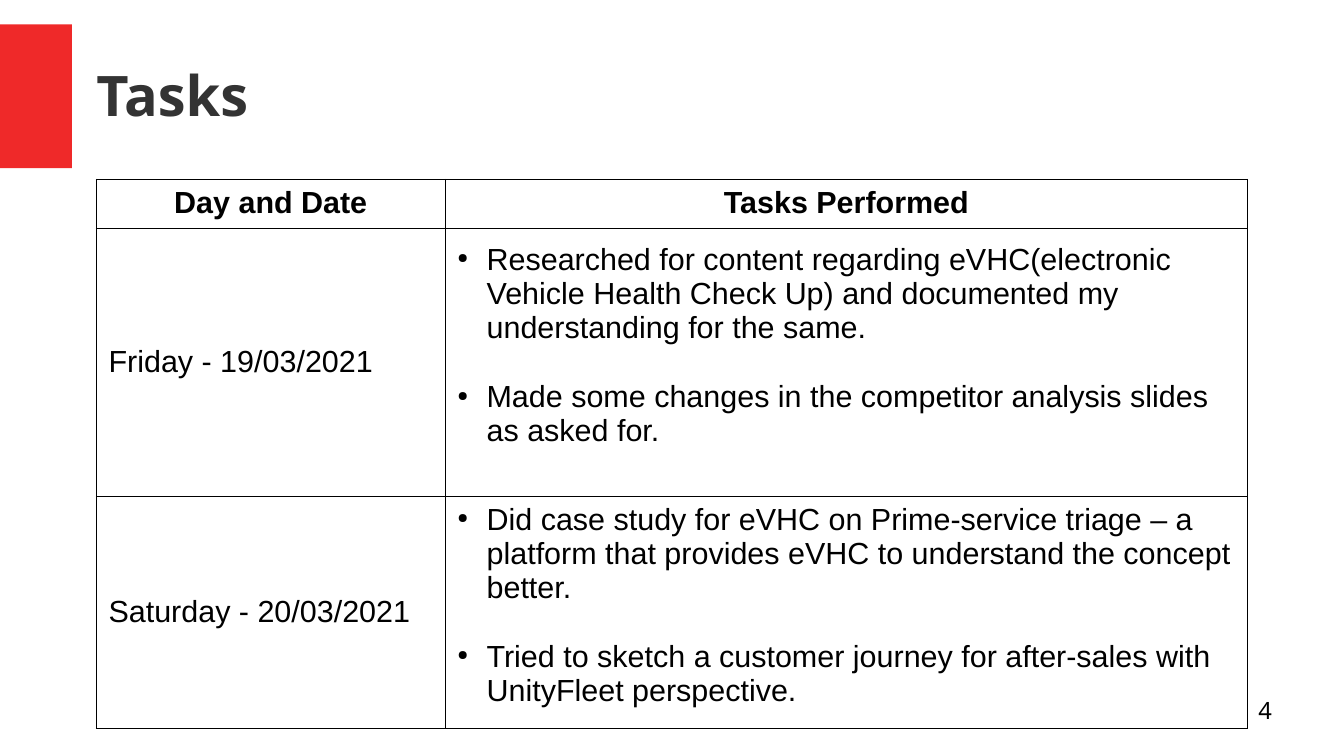
from lxml import etree
from pptx import Presentation
from pptx import util as u
from pptx.dml.color import RGBColor
from pptx.enum import shapes, text
from pptx.oxml.ns import qn

# Content
TITLE = "Tasks"
PAGE_NUMBER = "4"
HEADERS = ["Day and Date", "Tasks Performed"]
DAYS = [
    ("Friday - 19/03/2021", [
        "Researched for content regarding eVHC(electronic Vehicle Health Check Up) "
        "and documented my understanding for the same.",
        "Made some changes in the competitor analysis slides as asked for.",
    ]),
    ("Saturday - 20/03/2021", [
        "Did case study for eVHC on Prime-service triage – a platform that provides "
        "eVHC to understand the concept better.",
        "Tried to sketch a customer journey for after-sales with UnityFleet perspective.",
    ]),
]

# Layout in inches, type in points
WIDTH, HEIGHT = 11.02, 6.2
LEFT, TABLE_TOP = 0.79, 1.47
COLUMNS = [2.86, 6.58]
ROWS = [0.4, 2.2, 1.9]
TASK_TOP_MARGINS = [0.12, 0.05]
INDENT = 0.24
TASK_GAP = 20.5
COLORS = {"accent": "EF2929", "title": "333333", "text": "000000", "paper": "FFFFFF"}


def color(name):
    return RGBColor.from_string(COLORS[name])


def write(paragraph, words, size, font, ink="text", bold=False, align=text.PP_ALIGN.LEFT):
    paragraph.text = words
    paragraph.alignment = align
    paragraph.font.size = u.Pt(size)
    paragraph.font.name = font
    paragraph.font.bold = bold
    paragraph.font.color.rgb = color(ink)


def add_text(slide, box, anchor, *args, **kwargs):
    frame = slide.shapes.add_textbox(*map(u.Inches, box)).text_frame
    frame.word_wrap = True
    frame.vertical_anchor = anchor
    frame.margin_left = frame.margin_right = frame.margin_top = frame.margin_bottom = 0
    write(frame.paragraphs[0], *args, **kwargs)


def add_bullet(paragraph):
    properties = paragraph._p.get_or_add_pPr()
    properties.set("marL", str(u.Inches(INDENT)))
    properties.set("indent", str(-u.Inches(INDENT)))
    bullet_color = etree.SubElement(properties, qn("a:buClr"))
    etree.SubElement(bullet_color, qn("a:srgbClr"), val=COLORS["text"])
    etree.SubElement(properties, qn("a:buSzPct"), val="45000")
    etree.SubElement(properties, qn("a:buChar"), char="●")
    # Bullet settings must come before the default run properties
    defaults = properties.find(qn("a:defRPr"))
    if defaults is not None:
        properties.append(defaults)


def style_cell(cell):
    cell.fill.solid()
    cell.fill.fore_color.rgb = color("paper")
    cell.margin_left = cell.margin_right = u.Inches(0.1)
    cell.margin_top = cell.margin_bottom = u.Inches(0.05)
    properties = cell._tc.get_or_add_tcPr()
    for position, side in enumerate(["lnL", "lnR", "lnT", "lnB"]):
        line = etree.Element(qn(f"a:{side}"), w=str(u.Pt(0.57)))
        fill = etree.SubElement(line, qn("a:solidFill"))
        etree.SubElement(fill, qn("a:srgbClr"), val=COLORS["text"])
        properties.insert(position, line)


def main():
    presentation = Presentation()
    presentation.slide_width = u.Inches(WIDTH)
    presentation.slide_height = u.Inches(HEIGHT)
    slide = presentation.slides.add_slide(presentation.slide_layouts[6])

    # Accent block and title
    accent = slide.shapes.add_shape(
        shapes.MSO_SHAPE.RECTANGLE, *map(u.Inches, (0, 0.2, 0.59, 1.18)))
    accent.shadow.inherit = False
    accent.fill.solid()
    accent.fill.fore_color.rgb = color("accent")
    accent.line.fill.background()
    add_text(slide, (LEFT, 0.25, 9.68, 1.04), text.MSO_ANCHOR.MIDDLE,
             TITLE, 33, "Noto Sans", "title", bold=True)

    # Task table
    box = (LEFT, TABLE_TOP, sum(COLUMNS), sum(ROWS))
    table = slide.shapes.add_table(len(ROWS), len(COLUMNS), *map(u.Inches, box)).table
    table.first_row = table.horz_banding = False
    for column, width in zip(table.columns, COLUMNS):
        column.width = u.Inches(width)
    for row, height in zip(table.rows, ROWS):
        row.height = u.Inches(height)
    for cell in table.iter_cells():
        style_cell(cell)

    for index, header in enumerate(HEADERS):
        write(table.cell(0, index).text_frame.paragraphs[0], header, 18, "Arial",
              bold=True, align=text.PP_ALIGN.CENTER)

    for row, ((day, tasks), margin) in enumerate(zip(DAYS, TASK_TOP_MARGINS), start=1):
        day_cell, task_cell = table.cell(row, 0), table.cell(row, 1)
        day_cell.vertical_anchor = text.MSO_ANCHOR.MIDDLE
        write(day_cell.text_frame.paragraphs[0], day, 18, "Arial")
        task_cell.margin_top = u.Inches(margin)
        frame = task_cell.text_frame
        for index, task in enumerate(tasks):
            paragraph = frame.add_paragraph() if index else frame.paragraphs[0]
            write(paragraph, task, 18, "Arial")
            paragraph.space_before = u.Pt(TASK_GAP if index else 0)
            add_bullet(paragraph)

    # Page number
    add_text(slide, (7.87, 5.71, 2.56, 0.43), text.MSO_ANCHOR.TOP,
             PAGE_NUMBER, 14, "Noto Sans", align=text.PP_ALIGN.RIGHT)

    presentation.save("out.pptx")


if __name__ == "__main__":
    main()
